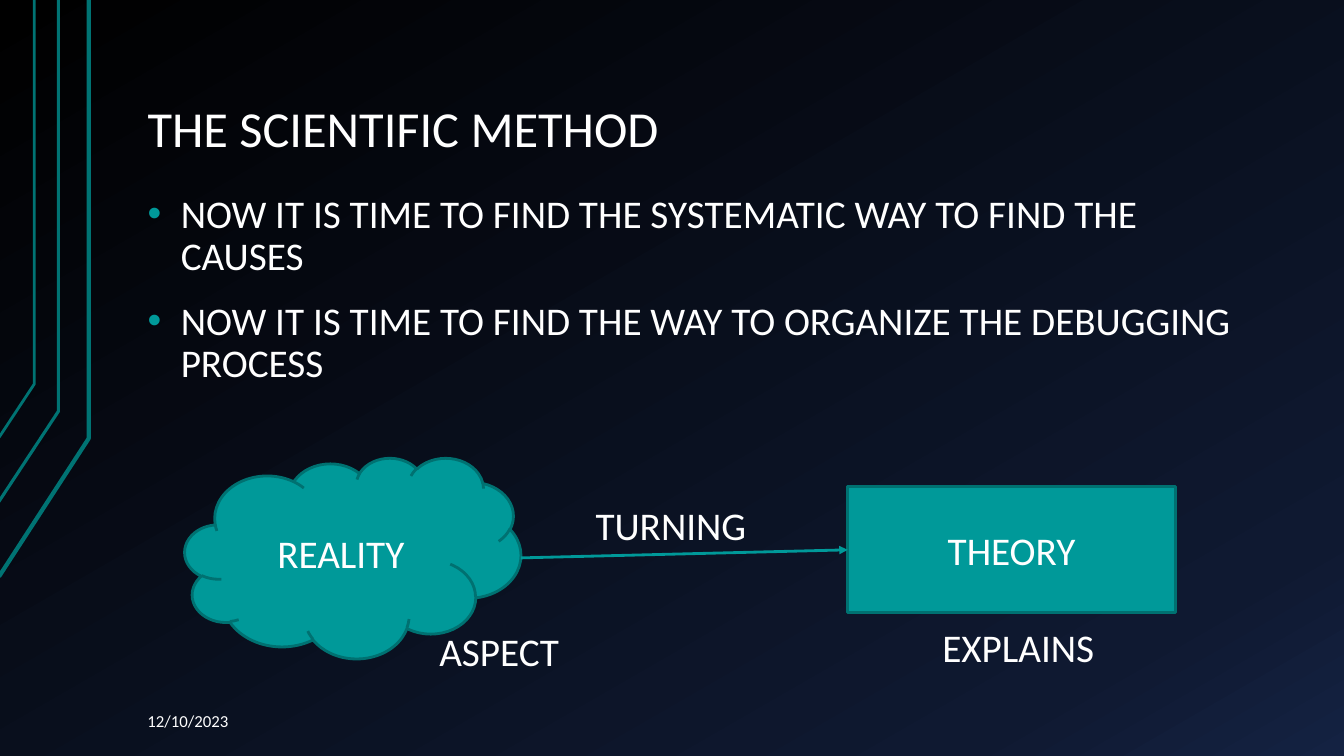
"""Build the slide on the scientific method of debugging."""
from copy import deepcopy

from lxml import etree
from pptx import Presentation
from pptx import util as u
from pptx.dml.color import RGBColor
from pptx.enum import dml, shapes, text
from pptx.oxml.ns import qn

COLOURS = {
    "text": "FFFFFF",
    "accent": "009999",
    "edge": "007171",
    "rail": "007373",
}
BACKDROP = [(0, "000000"), (0.85, "0F1931"), (1, "142242")]
FONT = "Calibri"
WIDTH, HEIGHT = u.Inches(13.33), u.Inches(7.5)
COLUMNS, ROWS = 40, 30
RAILS = [
    (3, [(-0.03, 22.88), (2.64, 17.4), (2.64, 0)]),
    (2.25, [(-0.06, 19.96), (1.74, 16.32), (1.74, 0)]),
    (2, [(-0.03, 17.36), (1.02, 15.24), (1.02, 0)]),
]
POINTS = [
    "NOW IT IS TIME TO FIND THE SYSTEMATIC WAY TO FIND THE CAUSES",
    "NOW IT IS TIME TO FIND THE WAY TO ORGANIZE THE DEBUGGING PROCESS",
]
LABELS = [
    ("ASPECT", (12.78, 24.68, 4.2, 2.28)),
    ("EXPLAINS", (27.75, 24.52, 5.19, 2.28)),
    ("TURNING", (17.43, 19.68, 5.13, 2.28)),
]


def across(columns):
    """Return the length of a number of grid columns."""
    return round(WIDTH * columns / COLUMNS)


def down(rows):
    """Return the length of a number of grid rows."""
    return round(HEIGHT * rows / ROWS)


def place(area):
    """Turn grid left, top, width and height into lengths."""
    left, top, width, height = area
    return across(left), down(top), across(width), down(height)


def style_text(box, size):
    """Set font, size and colour of all text in a box."""
    for paragraph in box.text_frame.paragraphs:
        for span in paragraph.runs:
            span.font.name = FONT
            span.font.size = u.Pt(size)
            span.font.color.rgb = RGBColor.from_string(COLOURS["text"])


def style_line(line, colour, width):
    """Set colour and width of a line."""
    line.color.rgb = RGBColor.from_string(COLOURS[colour])
    line.width = u.Pt(width)


def set_frame(box, anchor):
    """Give a box wide margins, wrapping and an anchor."""
    frame = box.text_frame
    frame.word_wrap = True
    frame.auto_size = text.MSO_AUTO_SIZE.NONE
    frame.vertical_anchor = anchor
    frame.margin_left = frame.margin_right = u.Inches(0.13)
    frame.margin_top = frame.margin_bottom = u.Inches(0.07)


def paint_background(page):
    """Fill the page with the three-stop gradient."""
    fill = page.background.fill
    fill.gradient()
    fill.gradient_angle = 300
    stop_list = page.element.find(".//" + qn("a:gsLst"))
    stop_list.append(deepcopy(stop_list[0]))
    for stop, (position, colour) in zip(fill.gradient_stops, BACKDROP):
        stop.position = position
        stop.color.rgb = RGBColor.from_string(colour)


def add_rail(page, width, corners):
    """Draw one bent line at the left edge."""
    (start, *rest) = [(across(x), down(y)) for x, y in corners]
    builder = page.shapes.build_freeform(*start)
    builder.add_line_segments(rest, close=False)
    rail = builder.convert_to_shape()
    rail.shadow.inherit = False
    rail.fill.background()
    style_line(rail.line, "rail", width)


def fill_title(page, wording):
    """Place and format the title."""
    title = page.shapes.title
    title.left, title.top, title.width, title.height = place((4, 1.2, 34, 5.36))
    title.text_frame.text = wording
    set_frame(title, text.MSO_ANCHOR.BOTTOM)
    paragraph = title.text_frame.paragraphs[0]
    paragraph.alignment = text.PP_ALIGN.LEFT
    paragraph.line_spacing = 0.9
    style_text(title, 36)


def add_bullet(paragraph):
    """Give a paragraph a coloured bullet and a hanging indent."""
    properties = paragraph._p.get_or_add_pPr()
    indent = u.Inches(0.33)
    properties.set("marL", str(indent))
    properties.set("indent", str(-indent))
    colour = etree.SubElement(properties, qn("a:buClr"))
    etree.SubElement(colour, qn("a:srgbClr"), val=COLOURS["accent"])
    etree.SubElement(properties, qn("a:buFont"), typeface="Arial")
    etree.SubElement(properties, qn("a:buChar"), char="•")


def fill_body(page, points):
    """Place and format the bulleted list."""
    body = page.placeholders[1]
    body.left, body.top, body.width, body.height = place((4, 7.44, 34, 19.52))
    body.text_frame.text = "\n".join(points)
    set_frame(body, text.MSO_ANCHOR.TOP)
    for index, paragraph in enumerate(body.text_frame.paragraphs):
        add_bullet(paragraph)
        paragraph.line_spacing = 0.9
        paragraph.space_before = u.Pt(16 if index else 0)
    style_text(body, 28)


def add_node(page, kind, wording, area):
    """Add a filled shape with centred text."""
    node = page.shapes.add_shape(kind, *place(area))
    node.shadow.inherit = False
    node.fill.solid()
    node.fill.fore_color.rgb = RGBColor.from_string(COLOURS["accent"])
    style_line(node.line, "edge", 2)
    node.text_frame.text = wording
    node.text_frame.vertical_anchor = text.MSO_ANCHOR.MIDDLE
    node.text_frame.paragraphs[0].alignment = text.PP_ALIGN.CENTER
    style_text(node, 28)
    return node


def add_arrow(page, source, target):
    """Join the right side of one node to the left side of another."""
    arrow = page.shapes.add_connector(
        shapes.MSO_CONNECTOR.STRAIGHT,
        source.left + source.width, source.top + source.height // 2,
        target.left, target.top + target.height // 2,
    )
    style_line(arrow.line, "accent", 2)
    arrow.line.dash_style = dml.MSO_LINE.SOLID
    etree.SubElement(arrow.line._get_or_add_ln(), qn("a:tailEnd"), type="triangle")
    etree.SubElement(arrow._element.spPr, qn("a:effectLst"))


def add_label(page, wording, area, size=28):
    """Add a text box."""
    label = page.shapes.add_textbox(*place(area))
    label.text_frame.text = wording
    label.text_frame.word_wrap = False
    label.text_frame.auto_size = text.MSO_AUTO_SIZE.SHAPE_TO_FIT_TEXT
    style_text(label, size)
    return label


def main():
    """Build and save the deck."""
    deck = Presentation()
    deck.slide_width, deck.slide_height = WIDTH, HEIGHT
    page = deck.slides.add_slide(deck.slide_layouts[1])
    paint_background(page)
    for width, corners in RAILS:
        add_rail(page, width, corners)
    fill_title(page, "THE SCIENTIFIC METHOD")
    fill_body(page, POINTS)
    date = add_label(page, "12/10/2023", (4, 27.8, 7.32, 1.6), 12)
    set_frame(date, text.MSO_ANCHOR.MIDDLE)
    kinds = shapes.MSO_SHAPE
    reality = add_node(page, kinds.CLOUD, "REALITY", (5.5, 18.16, 10, 7.96))
    theory = add_node(page, kinds.RECTANGLE, "THEORY", (25.23, 19.32, 9.75, 5))
    add_arrow(page, reality, theory)
    for wording, area in LABELS:
        add_label(page, wording, area)
    deck.save("out.pptx")


if __name__ == "__main__":
    main()
